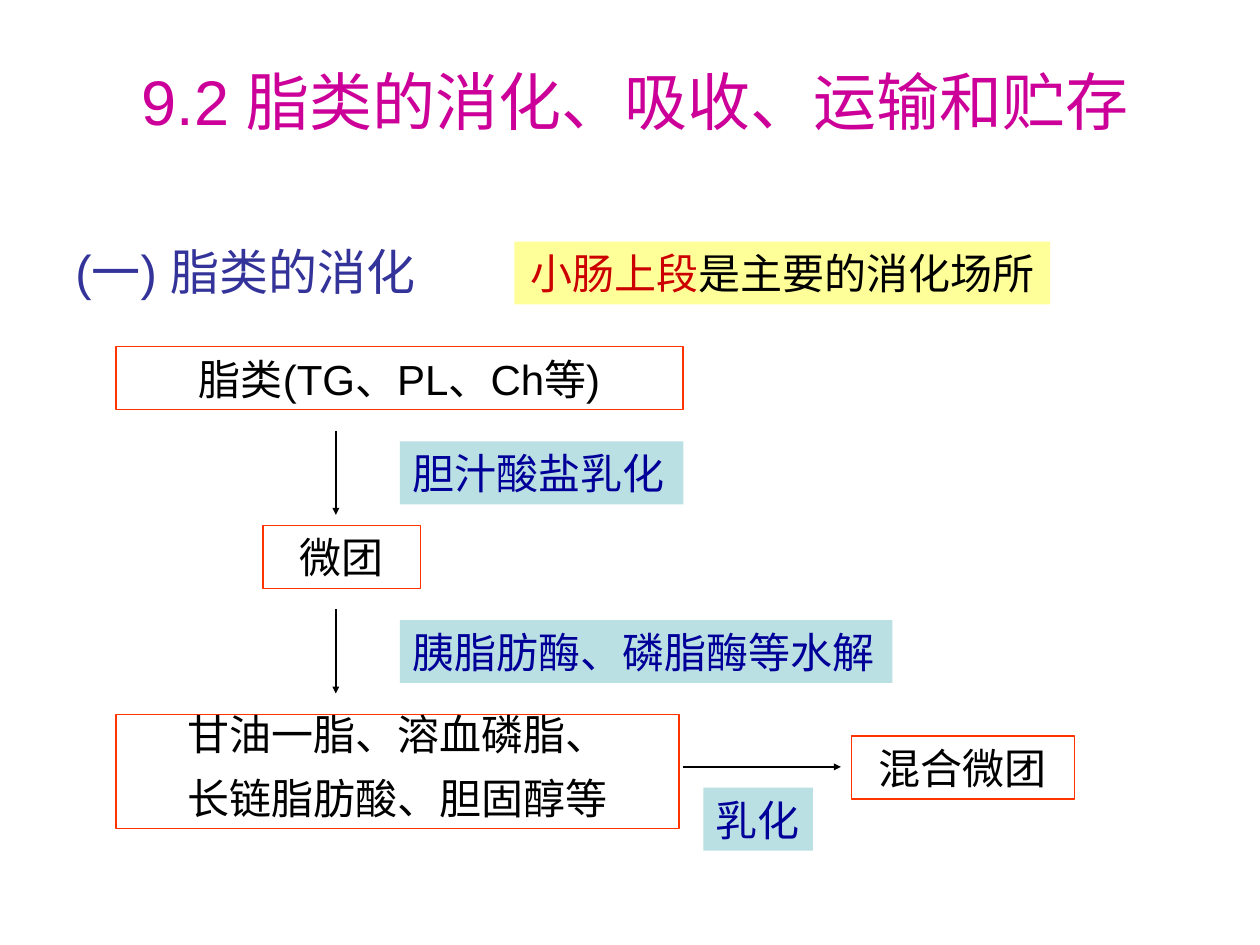
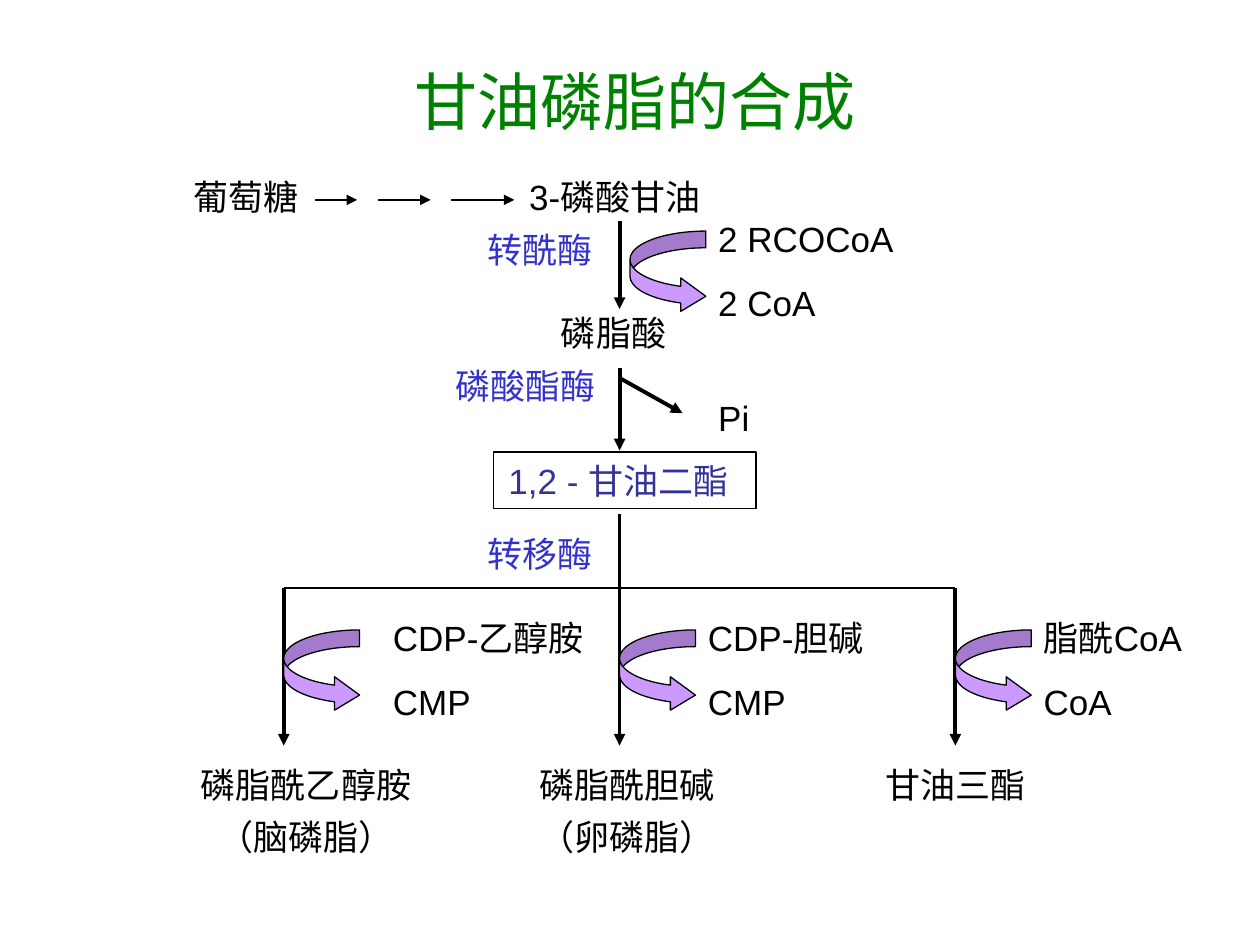
from lxml.etree import SubElement
from pptx import Presentation
from pptx.dml.color import RGBColor
from pptx.enum.shapes import MSO_CONNECTOR, MSO_SHAPE
from pptx.enum.text import MSO_ANCHOR, PP_ALIGN
from pptx.oxml.ns import qn
from pptx.util import Cm, Pt

FONT = "Arial"
BLACK = RGBColor(0x00, 0x00, 0x00)
MAGENTA = RGBColor(0xCC, 0x00, 0x99)
GREEN = RGBColor(0x00, 0x80, 0x00)
INDIGO = RGBColor(0x33, 0x33, 0x99)
NAVY = RGBColor(0x00, 0x00, 0x99)
ENZYME_BLUE = RGBColor(0x33, 0x33, 0xCC)
RED = RGBColor(0xCC, 0x00, 0x00)
ORANGE = RGBColor(0xFF, 0x33, 0x00)
YELLOW = RGBColor(0xFF, 0xFF, 0x99)
PALE_TEAL = RGBColor(0xBB, 0xE0, 0xE3)
LILAC = RGBColor(0xCC, 0x99, 0xFF)


# Shared parts

def write_text(shape, text, size, color, align=PP_ALIGN.LEFT, inset=0.25,
               anchor=MSO_ANCHOR.TOP, gap=0, line_spacing=None):
    """Fill a shape with text; gap is the space between its paragraphs."""
    frame = shape.text_frame
    frame.text = text
    frame.word_wrap = True
    frame.vertical_anchor = anchor
    frame.margin_left = frame.margin_right = Cm(inset)
    frame.margin_top = frame.margin_bottom = Cm(inset / 2)
    for index, paragraph in enumerate(frame.paragraphs):
        paragraph.alignment = align
        if line_spacing:
            paragraph.line_spacing = line_spacing
        if index:
            paragraph.space_before = Pt(gap)
        for run in paragraph.runs:
            run.font.name = FONT
            run.font.size = Pt(size)
            run.font.color.rgb = color


def add_text(slide, left, top, width, height, text, size, color, **style):
    shape = slide.shapes.add_textbox(Cm(left), Cm(top), Cm(width), Cm(height))
    write_text(shape, text, size, color, **style)


def add_box(slide, left, top, width, height, fill=None, line=None, kind=MSO_SHAPE.RECTANGLE):
    shape = slide.shapes.add_shape(kind, Cm(left), Cm(top), Cm(width), Cm(height))
    shape.shadow.inherit = False
    if fill is None:
        shape.fill.background()
    else:
        shape.fill.solid()
        shape.fill.fore_color.rgb = fill
    if line is None:
        shape.line.fill.background()
    else:
        shape.line.color.rgb = line
        shape.line.width = Pt(0.75)
    return shape


def add_line(slide, start_x, start_y, end_x, end_y, width, head="med"):
    """Draw a line with an arrowhead of the given size, or none."""
    connector = slide.shapes.add_connector(
        MSO_CONNECTOR.STRAIGHT, Cm(start_x), Cm(start_y), Cm(end_x), Cm(end_y))
    connector.line.color.rgb = BLACK
    connector.line.width = Pt(width)
    if head:
        outline = connector._element.spPr.find(qn("a:ln"))
        SubElement(outline, qn("a:tailEnd"), type="triangle", w=head, len=head)
    SubElement(connector._element.spPr, qn("a:effectLst"))


def add_title(slide, text, color):
    add_text(slide, 1.06, 0.85, 23.5, 2.33, text, 36, color,
             align=PP_ALIGN.CENTER, anchor=MSO_ANCHOR.MIDDLE)


# Slide 1: digestion of lipids

def add_section_heading(slide, left, top):
    add_text(slide, left, top, 8.9, 1.48, "(一) 脂类的消化", 28, INDIGO, line_spacing=0.9)
    note = add_box(slide, left + 9.1, top, 10.8, 1.27, fill=YELLOW)
    write_text(note, "小肠上段", 24, RED, align=PP_ALIGN.CENTER)
    run = note.text_frame.paragraphs[0].add_run()
    run.text = "是主要的消化场所"
    run.font.name = FONT
    run.font.size = Pt(24)
    run.font.color.rgb = BLACK


def add_digestion_flow(slide, left, top):
    step = 3.6

    # Substances
    substances = [
        (0, 0, 11.43, 1.27, "脂类(TG、PL、Ch等)", None),
        (2.96, step, 3.18, 1.27, "微团", None),
        (0, 7.41, 11.35, 2.31, "甘油一脂、溶血磷脂、\n长链脂肪酸、胆固醇等", 0.75),
        (14.82, 7.85, 4.5, 1.27, "混合微团", None),
    ]
    for x, y, width, height, text, spacing in substances:
        box = add_box(slide, left + x, top + y, width, height, line=ORANGE)
        write_text(box, text, 24, BLACK, align=PP_ALIGN.CENTER,
                   anchor=MSO_ANCHOR.MIDDLE, gap=15, line_spacing=spacing)

    # Processes
    processes = [
        (5.72, 1.91, 5.72, "胆汁酸盐乳化"),
        (5.72, 1.91 + step, 9.93, "胰脂肪酶、磷脂酶等水解"),
        (11.84, 8.89, 2.21, "乳化"),
    ]
    for x, y, width, text in processes:
        label = add_box(slide, left + x, top + y, width, 1.27, fill=PALE_TEAL)
        write_text(label, text, 24, NAVY, anchor=MSO_ANCHOR.MIDDLE)

    # Arrows
    for index in range(2):
        y = top + 1.69 + index * step
        add_line(slide, left + 4.43, y, left + 4.43, y + 1.7, 1, head="sm")
    add_line(slide, left + 11.43, top + 8.47, left + 14.61, top + 8.47, 1, head="sm")


# Slide 2: synthesis of glycerophospholipids

def add_pathway_text(slide, left, top, width, text, color=BLACK, height=1.14, **style):
    add_text(slide, left, top, width, height, text, 20, color, inset=0.3, **style)


def add_exchange(slide, left, top, reagents, label_offset):
    """Curved arrow with the reagent going in and the product coming out."""
    arrow = add_box(slide, left, top, 1.53, 1.65, fill=LILAC, line=BLACK,
                    kind=MSO_SHAPE.CURVED_RIGHT_ARROW)
    for index, value in enumerate((0.22, 0.44, 0.33)):
        arrow.adjustments[index] = value
    add_pathway_text(slide, left + label_offset, top - 0.42, 4.83, reagents,
                     height=2.44, gap=12.5)


def add_diglyceride_pathway(slide, left, top):
    axis = left + 8.89

    # Glucose to glycerol phosphate
    add_pathway_text(slide, left, top, 2.75, "葡萄糖")
    add_pathway_text(slide, left + 6.77, top, 5.08, "3-磷酸甘油")
    for start, end, width in ((2.75, 3.6, 0.75), (4.02, 5.08, 1), (5.5, 6.77, 1)):
        add_line(slide, left + start, top + 0.64, left + end, top + 0.64, width)

    # Acylation
    add_line(slide, axis, top + 1.06, axis, top + 2.84, 2.25)
    add_pathway_text(slide, left + 5.93, top + 1.06, 2.75, "转酰酶", ENZYME_BLUE)
    add_exchange(slide, axis + 0.21, top + 1.27, "2 RCOCoA\n2 CoA", 1.48)
    add_pathway_text(slide, left + 7.41, top + 2.75, 3.56, "磷脂酸")

    # Loss of phosphate
    add_line(slide, axis, top + 4.02, axis, top + 5.69, 2.25)
    add_line(slide, axis, top + 4.23, axis + 1.27, top + 4.94, 2.25)
    add_pathway_text(slide, left + 5.29, top + 3.81, 3.61, "磷酸酯酶", ENZYME_BLUE)
    add_pathway_text(slide, left + 10.58, top + 4.45, 3.05, "Pi")
    diglyceride = add_box(slide, left + 6.35, top + 5.72, 5.29, 1.14, line=BLACK)
    write_text(diglyceride, "1,2 - 甘油二酯", 20, INDIGO, inset=0.3)


def add_product_branches(slide, left, top):
    column_step = 6.77
    bar_y = top + 1.48
    product_width = 6.2

    # Stem label and crossbar
    add_pathway_text(slide, left + 3.81, top + 0.21, 3.3, "转移酶", ENZYME_BLUE)
    add_line(slide, left, bar_y, left + 2 * column_step, bar_y, 1.5, head=None)

    # Branches: reagents, their offset, product, its shift from the arrow
    branches = [
        ("CDP-乙醇胺\nCMP", 1.9, "磷脂酰乙醇胺\n（脑磷脂）", 0.45),
        ("CDP-胆碱\nCMP", 1.48, "磷脂酰胆碱\n（卵磷脂）", 0.15),
        ("脂酰CoA\nCoA", 1.48, "甘油三酯", 0),
    ]
    for index, (reagents, offset, product, shift) in enumerate(branches):
        x = left + index * column_step
        start_y = top if index == 1 else bar_y
        add_line(slide, x, start_y, x, top + 4.66, 2.25)
        add_exchange(slide, x, top + 2.33, reagents, offset)
        add_pathway_text(slide, x + shift - product_width / 2, top + 4.87, product_width,
                         product, height=2.2, align=PP_ALIGN.CENTER, gap=5.5)


def main():
    presentation = Presentation()
    presentation.slide_width = Cm(25.4)
    presentation.slide_height = Cm(19.05)
    blank = presentation.slide_layouts[6]

    slide = presentation.slides.add_slide(blank)
    add_title(slide, "9.2 脂类的消化、吸收、运输和贮存", MAGENTA)
    add_section_heading(slide, 1.27, 4.87)
    add_digestion_flow(slide, 2.34, 6.99)

    slide = presentation.slides.add_slide(blank)
    add_title(slide, "甘油磷脂的合成", GREEN)
    add_diglyceride_pathway(slide, 3.6, 3.39)
    add_product_branches(slide, 5.72, 10.37)

    presentation.save("out.pptx")


if __name__ == "__main__":
    main()
